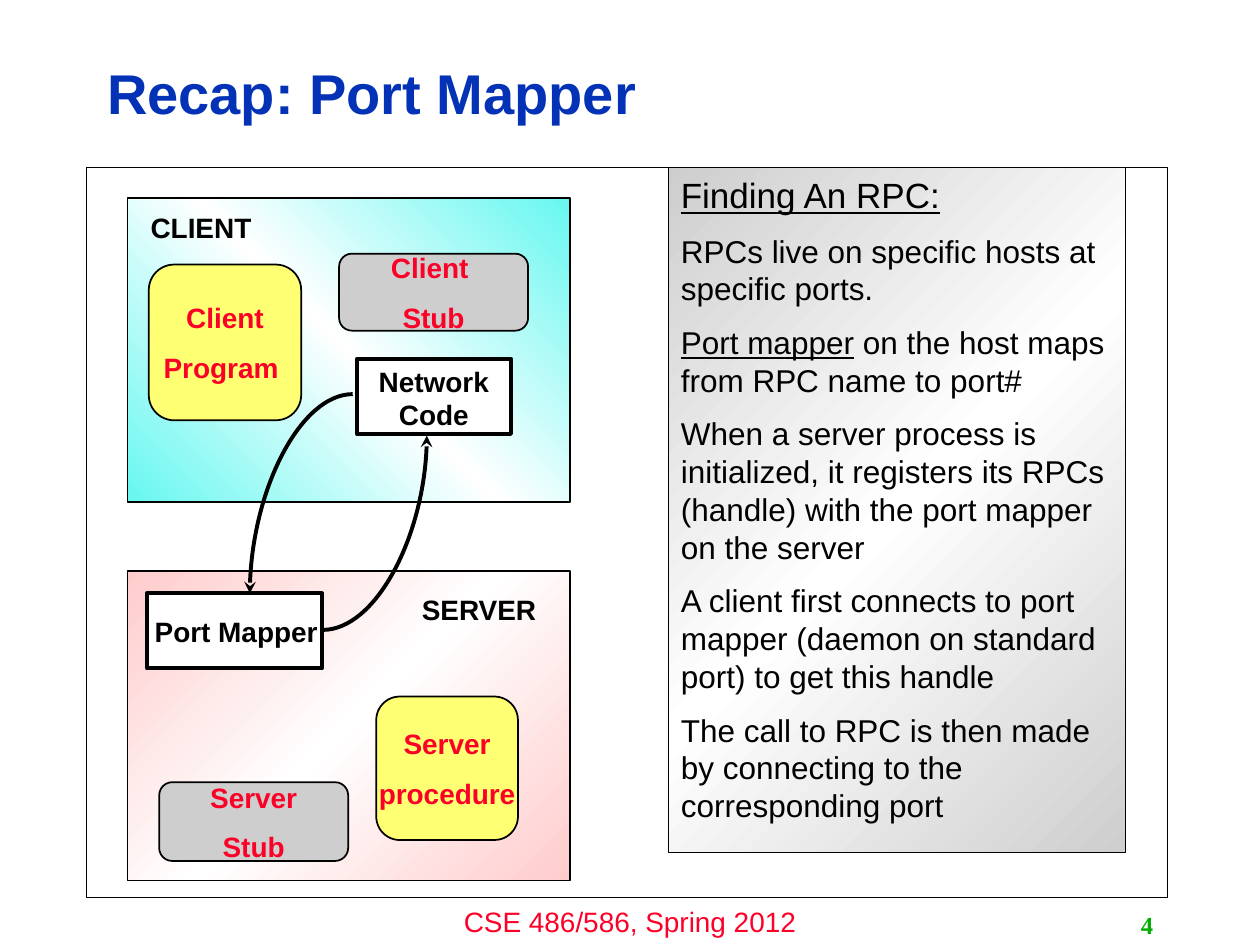
from copy import deepcopy

from lxml import etree
from pptx import Presentation
from pptx.dml.color import RGBColor
from pptx.enum.shapes import MSO_CONNECTOR, MSO_SHAPE
from pptx.enum.text import MSO_ANCHOR, PP_ALIGN
from pptx.oxml.ns import qn
from pptx.util import Pt

BLACK, WHITE, RED = "000000", "FFFFFF", "FC0128"
YELLOW, GREY = "FEFF72", "CECECE"

# Content: boxes are (left, top, width, height) in points
TITLE = "Recap: Port Mapper"
FRAME = (49, 95.8, 617.8, 416.9)
PANELS = [  # box, edge colour of the gradient, angle
    ((72.9, 326.2, 252.9, 177), "FFCCCC", 315),
    ((72.9, 113, 252.9, 174), "67F7F0", 45),
]
COMPONENTS = [  # box, fill, lines of text
    ((85, 151.2, 87.1, 89), YELLOW, ["Client", "Program "]),
    ((215, 398, 81, 82), YELLOW, ["Server", "procedure"]),
    ((91, 447, 108, 45), GREY, ["Server", "Stub"]),
    ((193.8, 145, 108, 44), GREY, ["Client ", "Stub"]),
]
ENDPOINTS = [  # box, label box, label
    ((204, 205, 88, 43), (198.9, 204.5, 98, 46), "Network Code"),
    ((84, 339, 100, 43), (78.5, 347.8, 113, 26.6), "Port Mapper"),
]
ARROWS = [  # start x, start y, end x, end y
    (201.6, 225.2, 142.8, 339),
    (184.4, 360, 243.9, 249),
]
HEADINGS = [
    ((234, 334.8, 89.3, 24.5), "SERVER"),
    ((79, 116.6, 89.3, 24.5), "CLIENT"),
]
NOTES_BOX = (382, 95.8, 261, 391.5)
NOTES = [  # each paragraph is a list of (text, format)
    [("Finding An RPC:", {"size": 20, "underline": True})],
    [("RPCs live on specific hosts at specific ports.", {})],
    [("Port mapper", {"underline": True}),
     (" on the host maps from RPC name to port#", {})],
    [("When a server process is initialized, it registers its RPCs (handle) "
      "with the port mapper on the server", {})],
    [("A client first connects to port mapper (daemon on standard port) "
      "to get this handle", {})],
    [("The call to RPC is then made by connecting to the corresponding port", {})],
]


def color(value):
    return RGBColor.from_string(value)


def write(shape, paragraphs, size=16, font="Arial", fill=BLACK, bold=False,
          align=PP_ALIGN.LEFT, anchor=MSO_ANCHOR.TOP, wrap=True, gap=9, spacing=None):
    """Fill a shape with paragraphs: plain strings or lists of (text, format)."""
    frame = shape.text_frame
    frame.word_wrap = wrap
    frame.vertical_anchor = anchor
    for index, content in enumerate(paragraphs):
        paragraph = frame.add_paragraph() if index else frame.paragraphs[0]
        paragraph.alignment = align
        paragraph.space_before = Pt(gap if index else 0)
        if spacing:
            paragraph.line_spacing = spacing
        for text, style in [(content, {})] if isinstance(content, str) else content:
            run = paragraph.add_run()
            run.text = text
            run.font.name = font
            run.font.size = Pt(style.get("size", size))
            run.font.bold = bold
            run.font.underline = style.get("underline", False)
            run.font.color.rgb = color(fill)


def add_label(slide, box, text, **style):
    write(slide.shapes.add_textbox(*map(Pt, box)), [text], **style)


def add_box(slide, box, fill=None, line_width=1, kind=MSO_SHAPE.RECTANGLE):
    shape = slide.shapes.add_shape(kind, *map(Pt, box))
    shape.shadow.inherit = False
    if fill:
        shape.fill.solid()
        shape.fill.fore_color.rgb = color(fill)
    else:
        shape.fill.background()
    shape.line.color.rgb = color(BLACK)
    shape.line.width = Pt(line_width)
    return shape


def add_gradient_box(slide, box, edge, angle, line_width=1):
    shape = add_box(slide, box, line_width=line_width)
    shape.fill.gradient()
    stop_list = shape._element.spPr.find(".//" + qn("a:gsLst"))
    stop_list.append(deepcopy(stop_list[-1]))
    for stop, position, value in zip(shape.fill.gradient_stops, (0, 0.5, 1),
                                     (edge, WHITE, edge)):
        stop.position = position
        stop.color.rgb = color(value)
    shape.fill.gradient_angle = angle
    return shape


def add_curved_arrow(slide, ends):
    connector = slide.shapes.add_connector(MSO_CONNECTOR.CURVE, *map(Pt, ends))
    connector.line.color.rgb = color(BLACK)
    connector.line.width = Pt(2.25)
    properties = connector._element.spPr
    properties.find(qn("a:prstGeom")).set("prst", "curvedConnector2")
    etree.SubElement(properties.find(qn("a:ln")), qn("a:tailEnd"), type="stealth")
    etree.SubElement(properties, qn("a:effectLst"))


def main():
    presentation = Presentation()
    presentation.slide_width, presentation.slide_height = Pt(720), Pt(540)
    slide = presentation.slides.add_slide(presentation.slide_layouts[5])

    # Title, footer and slide number
    title = slide.shapes.title
    title.left, title.top, title.width, title.height = map(Pt, (54, 26, 574.5, 58))
    write(title, [TITLE], size=32, fill="0332B7", bold=True,
          anchor=MSO_ANCHOR.MIDDLE, spacing=0.9)
    add_label(slide, (240, 513.4, 240, 26.6), "CSE 486/586, Spring 2012",
              fill=RED, align=PP_ALIGN.CENTER)
    add_label(slide, (516, 517, 150, 23), "4", size=14, font="Times New Roman",
              fill="00AE00", bold=True, align=PP_ALIGN.RIGHT, anchor=MSO_ANCHOR.MIDDLE)

    # Client and server panels inside the frame
    for box, edge, angle in PANELS:
        add_gradient_box(slide, box, edge, angle)
    add_box(slide, FRAME, line_width=0.25)

    # Programs and stubs
    for box, fill, lines in COMPONENTS:
        shape = add_box(slide, box, fill, kind=MSO_SHAPE.ROUNDED_RECTANGLE)
        write(shape, lines, fill=RED, bold=True, align=PP_ALIGN.CENTER,
              anchor=MSO_ANCHOR.MIDDLE, wrap=False)

    # Communication endpoints and the arrows between them
    for box, label_box, label in ENDPOINTS:
        add_box(slide, box, WHITE, line_width=2.25)
        add_label(slide, label_box, label, bold=True, align=PP_ALIGN.CENTER)
    for ends in ARROWS:
        add_curved_arrow(slide, ends)
    for box, heading in HEADINGS:
        add_label(slide, box, heading, bold=True)

    # Explanation
    write(add_gradient_box(slide, NOTES_BOX, GREY, 315, line_width=0.5), NOTES, size=18)

    presentation.save("out.pptx")


if __name__ == "__main__":
    main()
